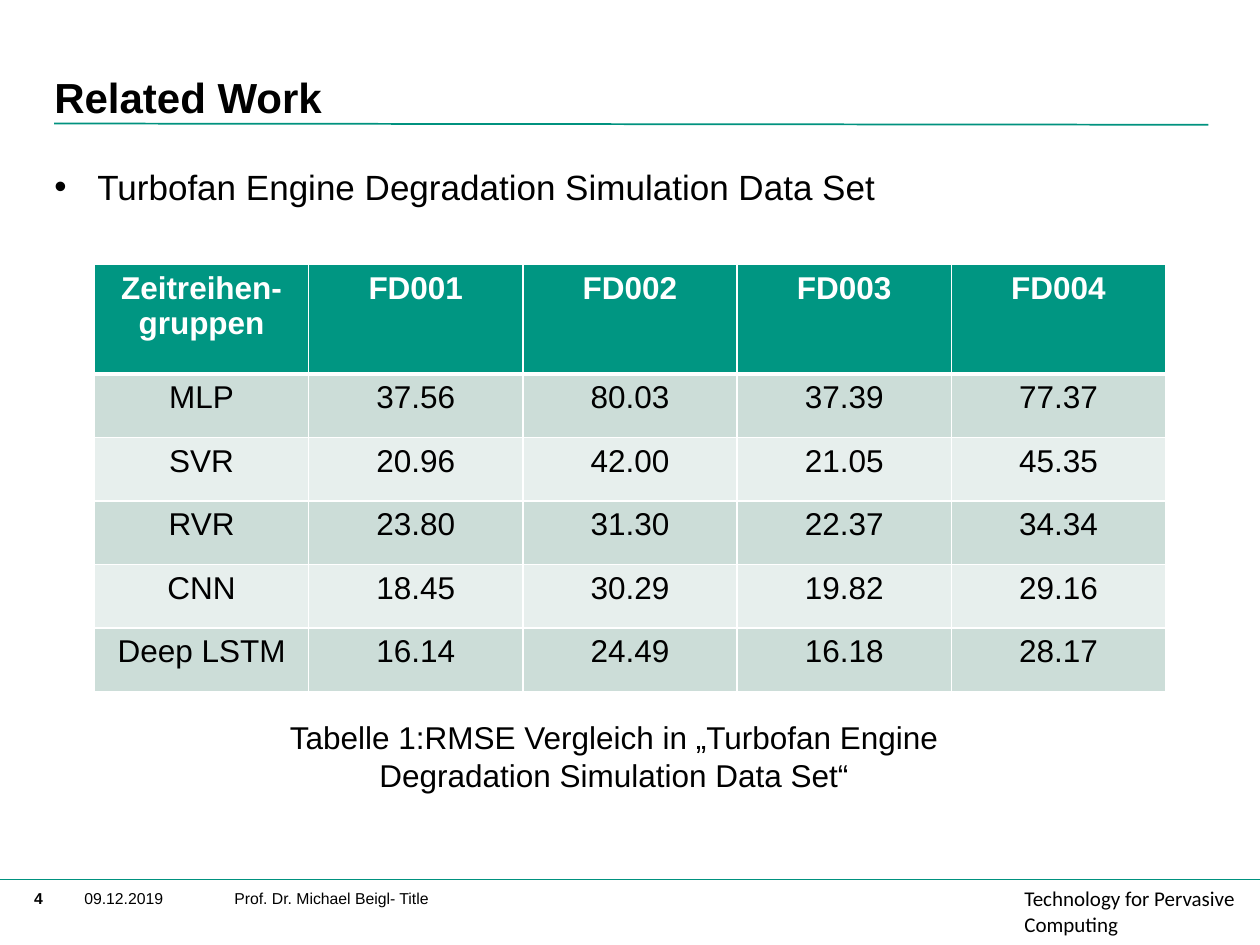
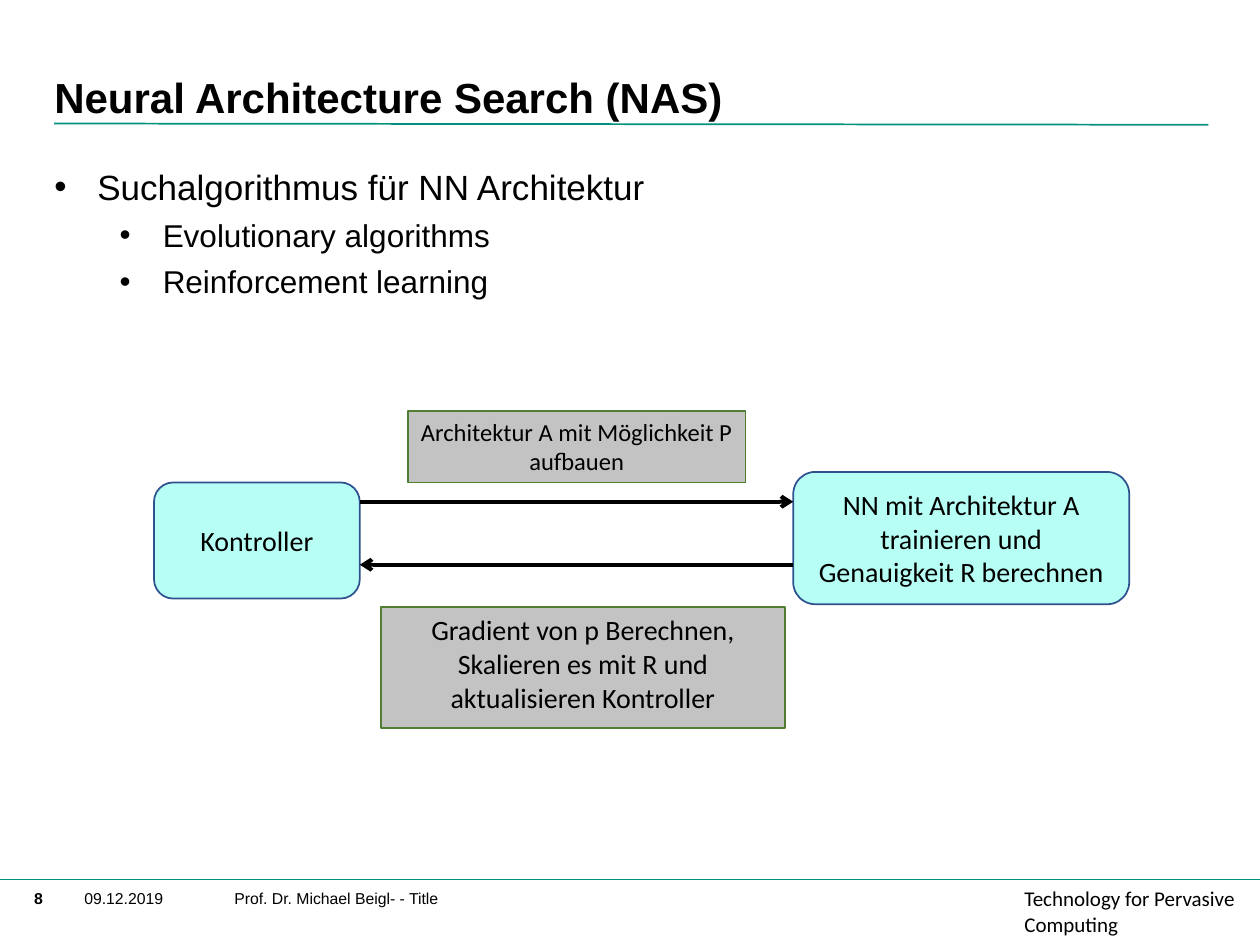
from lxml.etree import SubElement
from pptx import Presentation
from pptx.dml.color import RGBColor
from pptx.enum.shapes import MSO_CONNECTOR as CONNECTOR, MSO_SHAPE as SHAPE
from pptx.enum.text import MSO_ANCHOR as ANCHOR, PP_ALIGN as ALIGN
from pptx.oxml.ns import qn
from pptx.util import Pt

WIDTH, HEIGHT = 720, 540
MARGIN = 31
RULE_GREEN, HEADER_GREEN = "00927F", "009682"
BAND_DARK, BAND_LIGHT = "CCDDD8", "E7EFED"
NODE_FILL, NODE_LINE = "B7FFF5", "2F528F"
NOTE_FILL, NOTE_LINE = "C3C3C3", "507E32"
BLACK, WHITE = "000000", "FFFFFF"
SANS, HUMANIST = "Arial", "Calibri"


def color(hex_code):
    return RGBColor.from_string(hex_code)


def lengths(box):
    return [Pt(value) for value in box]


def style_paragraph(paragraph, size, font=SANS, ink=BLACK, bold=False, align=None):
    paragraph.alignment = align
    for run in paragraph.runs:
        run.font.name, run.font.size, run.font.bold = font, Pt(size), bold
        run.font.color.rgb = color(ink)


def add_text(slide, box, text, size, inset=False, anchor=ANCHOR.TOP, **style):
    """A wrapping text box, with the default margins only if inset."""
    frame = slide.shapes.add_textbox(*lengths(box)).text_frame
    frame.word_wrap = True
    frame.vertical_anchor = anchor
    if not inset:
        frame.margin_left = frame.margin_right = frame.margin_top = frame.margin_bottom = 0
    frame.text = text
    for paragraph in frame.paragraphs:
        style_paragraph(paragraph, size, **style)
    return frame


def add_box(slide, kind, box, fill, line, weight=1, text="", size=16, anchor=ANCHOR.MIDDLE):
    shape = slide.shapes.add_shape(kind, *lengths(box))
    shape.shadow.inherit = False
    shape.fill.solid()
    shape.fill.fore_color.rgb = color(fill)
    shape.line.color.rgb = color(line)
    shape.line.width = Pt(weight)
    if text:
        shape.text_frame.text = text
        shape.text_frame.word_wrap = True
        shape.text_frame.vertical_anchor = anchor
        style_paragraph(shape.text_frame.paragraphs[0], size, HUMANIST, align=ALIGN.CENTER)
    return shape


def add_line(slide, start, end, ink, weight, arrow=False):
    line = slide.shapes.add_connector(CONNECTOR.STRAIGHT, *lengths(start + end))
    line.line.color.rgb = color(ink)
    line.line.width = Pt(weight)
    if arrow:
        SubElement(line.line._get_or_add_ln(), qn("a:tailEnd"), type="arrow")
    SubElement(line._element.spPr, qn("a:effectLst"))


# Regions shared by the slides

def add_footer(slide, number, credit):
    top = 502.9
    text_top = top + 4.7
    add_box(slide, SHAPE.RECTANGLE, (0, top, WIDTH, HEIGHT - top), WHITE, WHITE, 2)
    add_text(slide, (585.4, top + 3.3, 121, 30), "Technology for Pervasive Computing", 12, font=HUMANIST)
    add_line(slide, (0, top - 0.4), (WIDTH, top - 0.4), RULE_GREEN, 1)
    add_text(slide, (19.5, text_top, 26, 17), number, 9, bold=True)
    add_text(slide, (48.2, text_top, 68, 28), "09.12.2019", 9)
    add_text(slide, (133.9, text_top, 335, 28), credit, 9)


def add_header(slide, title):
    add_line(slide, (MARGIN, 70.6), (690.5, 71.3), RULE_GREEN, 1)
    add_text(slide, (MARGIN, 26, 544, 43.9), title, 24, anchor=ANCHOR.BOTTOM, bold=True)


def add_bullets(slide, items):
    """Items are pairs of level and text."""
    level_size, level_indent = (20, 18), (24.6, 62)
    frame = add_text(slide, (MARGIN, 94.4, 658, 385), "\n".join(text for _, text in items), 20)
    for paragraph, (level, _) in zip(frame.paragraphs, items):
        style_paragraph(paragraph, level_size[level])
        paragraph.level = level
        paragraph.space_before = Pt(5)
        properties = paragraph._p.get_or_add_pPr()
        properties.set("marL", str(Pt(level_indent[level])))
        properties.set("indent", str(-Pt(24.6)))
        SubElement(properties, qn("a:buFont"), typeface=SANS)
        SubElement(properties, qn("a:buChar"), char="•")


def add_base(presentation, number, credit, title, items):
    slide = presentation.slides.add_slide(presentation.slide_layouts[6])
    add_footer(slide, number, credit)
    add_header(slide, title)
    add_bullets(slide, items)
    return slide


# Result table

def set_borders(cell, top, bottom):
    properties = cell._tc.get_or_add_tcPr()
    for side, weight in (("L", 1), ("R", 1), ("T", top), ("B", bottom)):
        border = SubElement(properties, qn(f"a:ln{side}"), w=str(Pt(weight)))
        fill = SubElement(border, qn("a:solidFill"))
        SubElement(fill, qn("a:srgbClr"), val=WHITE)


def add_results(slide, box, rows, header_height):
    table = slide.shapes.add_table(len(rows), len(rows[0]), *lengths(box)).table
    row_height = (box[3] - header_height) / (len(rows) - 1)
    for column in table.columns:
        column.width = Pt(box[2] / len(rows[0]))
    for index, values in enumerate(rows):
        header = index == 0
        table.rows[index].height = Pt(header_height if header else row_height)
        fill = HEADER_GREEN if header else BAND_DARK if index % 2 else BAND_LIGHT
        for cell, value in zip(table.rows[index].cells, values):
            set_borders(cell, 3 if index == 1 else 1, 3 if header else 1)
            cell.fill.solid()
            cell.fill.fore_color.rgb = color(fill)
            cell.text = value
            style_paragraph(cell.text_frame.paragraphs[0], 18, ink=WHITE if header else BLACK,
                            bold=header, align=ALIGN.CENTER)


# Search loop between controller and network

def add_search_loop(slide, box):
    left, top, width, _ = box
    controller_width, network_width = 117.6, 192
    arrow_left, arrow_right = left + controller_width, left + width - network_width
    nodes = (
        ((left, top + 41, controller_width, 66.4), "Kontroller"),
        ((arrow_right, top + 35, network_width, 75.6),
         "NN mit Architektur A trainieren und Genauigkeit R berechnen"),
    )
    for node_box, text in nodes:
        add_box(slide, SHAPE.ROUNDED_RECTANGLE, node_box, NODE_FILL, NODE_LINE, text=text)

    forward, backward = top + 52, top + 88
    add_line(slide, (arrow_left, forward), (arrow_right, forward), BLACK, 2.25, arrow=True)
    add_line(slide, (arrow_right, backward), (arrow_left, backward), BLACK, 2.25, arrow=True)

    notes = (
        ((left + 145, top, 193, 41), "Architektur A mit Möglichkeit P aufbauen", 14),
        ((left + 129.8, top + 112, 230.6, 69.4),
         "Gradient von p Berechnen, Skalieren es mit R und aktualisieren Kontroller", 16),
    )
    for note_box, text, size in notes:
        add_box(slide, SHAPE.RECTANGLE, note_box, NOTE_FILL, NOTE_LINE,
                text=text, size=size, anchor=ANCHOR.TOP)


def related_work_slide(presentation):
    slide = add_base(presentation, "4", "Prof. Dr. Michael Beigl- Title", "Related Work",
                     [(0, "Turbofan Engine Degradation Simulation Data Set")])
    rows = (
        ("Zeitreihen-gruppen", "FD001", "FD002", "FD003", "FD004"),
        ("MLP", "37.56", "80.03", "37.39", "77.37"),
        ("SVR", "20.96", "42.00", "21.05", "45.35"),
        ("RVR", "23.80", "31.30", "22.37", "34.34"),
        ("CNN", "18.45", "30.29", "19.82", "29.16"),
        ("Deep LSTM", "16.14", "24.49", "16.18", "28.17"),
    )
    add_results(slide, (54, 151.2, 612, 244), rows, 62.5)
    add_text(slide, (127.4, 406.8, 447, 72.7),
             "Tabelle 1:RMSE Vergleich in „Turbofan Engine Degradation Simulation Data Set“",
             18, inset=True, align=ALIGN.CENTER)


def architecture_search_slide(presentation):
    slide = add_base(presentation, "8", "Prof. Dr. Michael Beigl- - Title",
                     "Neural Architecture Search (NAS)",
                     [(0, "Suchalgorithmus für NN Architektur"),
                      (1, "Evolutionary algorithms"),
                      (1, "Reinforcement learning")])
    add_search_loop(slide, (88, 234.7, 557.3, 181.4))


def main():
    presentation = Presentation()
    presentation.slide_width, presentation.slide_height = Pt(WIDTH), Pt(HEIGHT)
    related_work_slide(presentation)
    architecture_search_slide(presentation)
    presentation.save("out.pptx")


if __name__ == "__main__":
    main()
